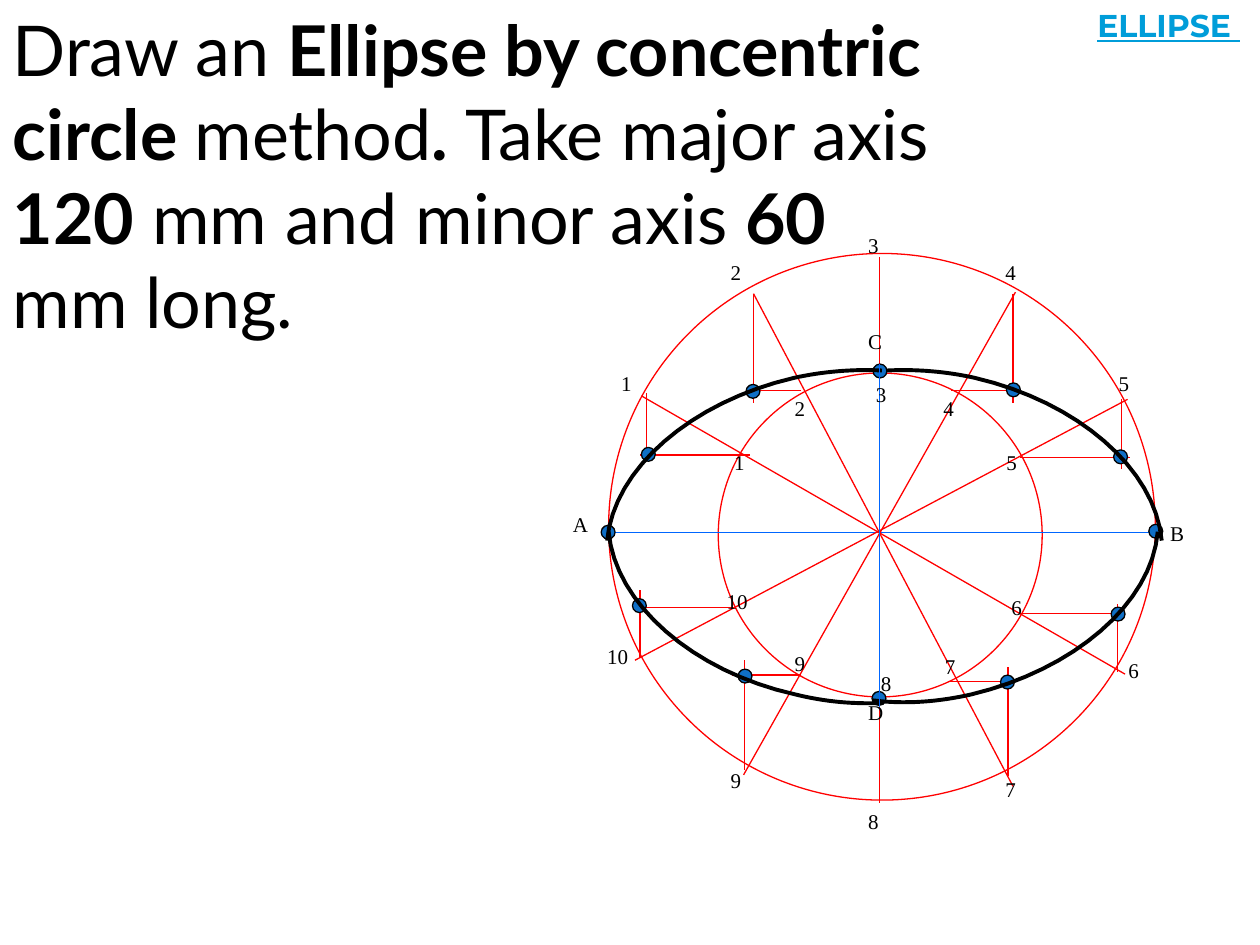
"""Build a slide showing an ellipse drawn by the concentric circle method."""
from dataclasses import dataclass

import pptx
import pptx.dml.color
import pptx.enum.shapes
import pptx.enum.text
import pptx.oxml.ns
import pptx.util
from lxml import etree
from pptx.util import Cm, Pt


@dataclass(frozen=True)
class Theme:
    ink: str = "000000"
    paper: str = "FFFFFF"
    construction: str = "FF0000"
    axis: str = "0066FF"
    point: str = "0F6FC6"
    heading: str = "009DD9"
    task_font: str = "Lato"
    heading_font: str = "Montserrat"
    label_font: str = "Times New Roman"
    task_size: int = 40
    heading_size: int = 18
    label_size: int = 12
    thin: float = 0.75
    thick: float = 2.25


theme = Theme()
rgb = pptx.dml.color.RGBColor.from_string

presentation = pptx.Presentation()
presentation.slide_width, presentation.slide_height = Cm(25.4), Cm(19.05)
slide = presentation.slides.add_slide(presentation.slide_layouts[5])


def draw_line(x1, y1, x2, y2, colour):
    line = slide.shapes.add_connector(
        pptx.enum.shapes.MSO_CONNECTOR.STRAIGHT, Cm(x1), Cm(y1), Cm(x2), Cm(y2))
    line.line.color.rgb = rgb(colour)
    line.line.width = Pt(theme.thin)
    etree.SubElement(line.element.spPr, pptx.oxml.ns.qn("a:effectLst"))


def write_label(text, x, y, width, height, font_name, size, colour):
    box = slide.shapes.add_textbox(Cm(x), Cm(y), Cm(width), Cm(height))
    box.text_frame.word_wrap = False
    box.text_frame.auto_size = pptx.enum.text.MSO_AUTO_SIZE.SHAPE_TO_FIT_TEXT
    paragraph = box.text_frame.paragraphs[0]
    paragraph.text = text
    paragraph.font.name = font_name
    paragraph.font.size = Pt(size)
    paragraph.font.color.rgb = rgb(colour)
    return paragraph


task = slide.shapes.title
task.left, task.top, task.width, task.height = Cm(0), Cm(0), Cm(19.48), Cm(5.38)
task.text_frame.word_wrap = True
task.text_frame.auto_size = pptx.enum.text.MSO_AUTO_SIZE.SHAPE_TO_FIT_TEXT
task.text_frame.vertical_anchor = pptx.enum.text.MSO_ANCHOR.TOP
task_line = task.text_frame.paragraphs[0]
task_line.alignment = pptx.enum.text.PP_ALIGN.LEFT
task_line.font.name = theme.task_font
task_line.font.size = Pt(theme.task_size)
task_line.font.color.rgb = rgb(theme.ink)
for wording, bold in [
    ("Draw an ", False), ("Ellipse by concentric circle ", True), ("method", False),
    (". ", True), ("Take major axis ", False), ("120", True),
    (" mm and minor axis ", False), ("60", True), (" mm long.", False),
]:
    run = task_line.add_run()
    run.text = wording
    run.font.bold = bold

circles = [(12.27, 5.11, 11.02), (14.48, 7.52, 6.53)]
curve_points = [
    (12.93, 9.02), (15.04, 7.75), (20.29, 7.72), (17.6, 7.34),
    (22.45, 9.07), (23.16, 10.57), (22.4, 12.24), (20.17, 13.61),
    (17.58, 13.94), (14.88, 13.49), (12.75, 12.07), (12.12, 10.59),
]
diameters = [
    (17.73, 5.18, 17.73, 16.18), (12.93, 7.98, 22.68, 13.59),
    (22.73, 8.05, 12.8, 13.31), (14.99, 15.62, 20.47, 5.89),
    (15.19, 5.92, 20.42, 15.85),
]
verticals = [
    (13.03, 7.92, 9.3), (15.19, 5.92, 8.13), (20.42, 5.92, 8.13),
    (22.61, 8.05, 9.45), (12.9, 13.26, 11.89), (15.01, 15.52, 13.31),
    (20.32, 15.65, 13.44), (22.53, 13.54, 12.17),
]
horizontals = [
    (9.17, 15.11, 12.9), (7.87, 16.15, 15.04), (7.87, 19.18, 20.57),
    (9.22, 20.57, 22.78), (12.37, 20.6, 22.53), (13.74, 19.15, 20.29),
    (13.61, 16.15, 14.76), (12.24, 14.81, 12.85),
]

rounds = [(*circle, theme.paper, theme.construction) for circle in circles]
rounds += [(x, y, 0.28, theme.point, theme.ink) for x, y in curve_points]
for index, (x, y, size, fill, outline) in enumerate(rounds):
    if index == len(circles):
        draw_line(12.27, 10.74, 23.32, 10.74, theme.axis)
        for ends in diameters:
            draw_line(*ends, theme.construction)
        for across, start, end in verticals:
            draw_line(across, start, across, end, theme.construction)
        for down, start, end in horizontals:
            draw_line(start, down, end, down, theme.construction)
    disc = slide.shapes.add_shape(
        pptx.enum.shapes.MSO_SHAPE.OVAL, Cm(x), Cm(y), Cm(size), Cm(size))
    disc.shadow.inherit = False
    disc.fill.solid()
    disc.fill.fore_color.rgb = rgb(fill)
    disc.line.color.rgb = rgb(outline)
    disc.line.width = Pt(theme.thin)

quarter_curves = [
    [(17.6, 14.12), (18.24, 14.2), (18.92, 14.15), (19.58, 14),
     (21.64, 13.51), (23.22, 12.17), (23.34, 10.72)],
    [(17.81, 14.17), (17.22, 14.2), (16.64, 14.15), (16.03, 14),
     (13.97, 13.54), (12.4, 12.17), (12.27, 10.72)],
    [(17.78, 7.47), (17.2, 7.44), (16.59, 7.49), (16, 7.62),
     (13.94, 8.1), (12.37, 9.45), (12.24, 10.9)],
    [(17.88, 7.47), (18.47, 7.44), (19.08, 7.49), (19.66, 7.62),
     (21.72, 8.1), (23.29, 9.45), (23.42, 10.9)],
]
steps = 16
for controls in quarter_curves:
    trace = []
    for first in (0, 3):
        for step in range(1, steps + 1):
            t = step / steps
            weights = ((1 - t) ** 3, 3 * t * (1 - t) ** 2, 3 * t * t * (1 - t), t ** 3)
            trace.append(tuple(
                Cm(sum(weight * point[side] for weight, point
                       in zip(weights, controls[first:first + 4])))
                for side in (0, 1)))
    start_x, start_y = controls[0]
    builder = slide.shapes.build_freeform(Cm(start_x), Cm(start_y))
    builder.add_line_segments(trace, close=False)
    quarter = builder.convert_to_shape()
    quarter.shadow.inherit = False
    quarter.fill.background()
    quarter.line.color.rgb = rgb(theme.ink)
    quarter.line.width = Pt(theme.thick)

draw_line(17.73, 7.34, 17.73, 14.25, theme.axis)

outer_numbers = [
    (12.27, 7.34), (14.48, 5.11), (17.25, 4.57), (20.02, 5.11), (22.3, 7.34),
    (22.5, 13.13), (20.02, 15.52), (17.25, 16.18), (14.48, 15.34), (11.99, 12.85),
]
inner_numbers = [
    (14.55, 8.94), (15.77, 7.85), (17.41, 7.57), (18.77, 7.85), (20.04, 8.94),
    (20.14, 11.86), (18.8, 13.06), (17.51, 13.39), (15.77, 12.98), (14.4, 11.73),
]
axis_ends = [("B", 23.34, 10.36), ("A", 11.3, 10.19), ("D", 17.25, 13.97), ("C", 17.25, 6.5)]
labels = [(str(number), x, y) for number, (x, y) in enumerate(outer_numbers, 1)]
labels += axis_ends
labels += [(str(number), x, y) for number, (x, y) in enumerate(inner_numbers, 1)]
for text, x, y in labels:
    width = 0.94 if len(text) == 2 else 0.8 if text.isalpha() else 0.72
    write_label(text, x, y, width, 0.76, theme.label_font, theme.label_size, theme.ink)

heading = write_label("ELLIPSE ", 21.72, 0, 3.68, 1.02,
                      theme.heading_font, theme.heading_size, theme.heading)
heading.alignment = pptx.enum.text.PP_ALIGN.CENTER
heading.font.bold = True
heading.font.underline = True

presentation.save("out.pptx")
